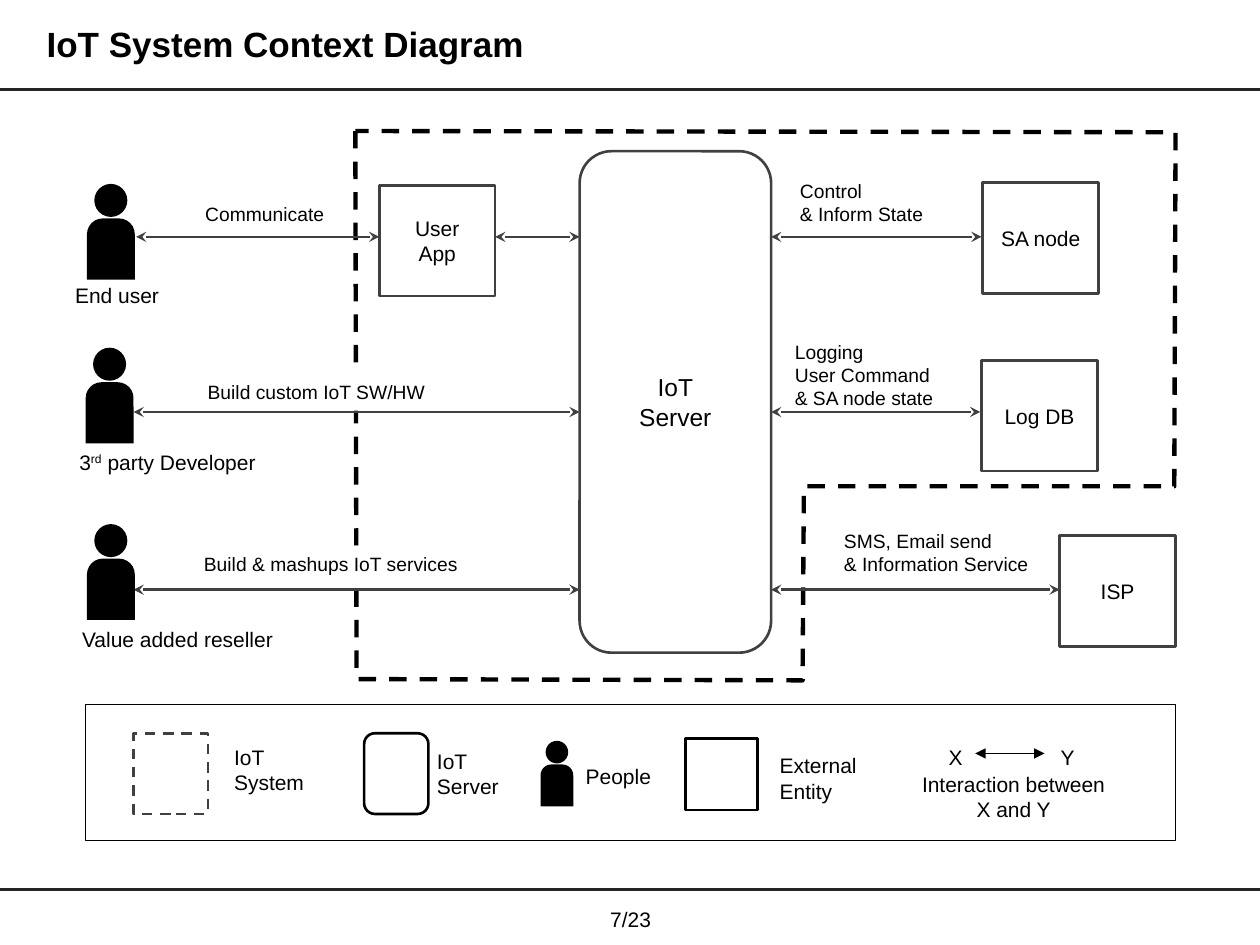
from dataclasses import dataclass

from lxml import etree
from pptx import Presentation, util as u
from pptx.dml.color import RGBColor
from pptx.enum import dml, shapes, text
from pptx.oxml.ns import qn

COLORS = {"black": "000000", "gray": "404040", "rule": "262626", "white": "FFFFFF"}
FONT = "Arial"
CELL = u.Inches(0.1)  # the slide is a grid of 100 columns by 75 rows
COLUMNS, ROWS = 100, 75
LEFT, CENTER = text.PP_ALIGN.LEFT, text.PP_ALIGN.CENTER
TOP, MIDDLE = text.MSO_ANCHOR.TOP, text.MSO_ANCHOR.MIDDLE
SHAPE = shapes.MSO_SHAPE


@dataclass
class Region:
    """A part of the grid; its contents are placed from its top left corner."""
    slide: object
    left: float
    top: float
    width: float
    height: float

    def place(self, x, y):
        return round((self.left + x) * CELL), round((self.top + y) * CELL)

    def frame(self, x, y, width, height):
        return (*self.place(x, y), round(width * CELL), round(height * CELL))


def rgb(name):
    return RGBColor.from_string(COLORS[name])


def style(shape, fill=None, line=None, weight=1.5, dashed=False):
    shape.shadow.inherit = False
    if fill:
        shape.fill.solid()
        shape.fill.fore_color.rgb = rgb(fill)
    else:
        shape.fill.background()
    if not line:
        shape.line.fill.background()
        return
    shape.line.color.rgb = rgb(line)
    shape.line.width = u.Pt(weight)
    if dashed:
        shape.line.dash_style = dml.MSO_LINE.DASH


def write(shape, wording, size=12, align=LEFT, anchor=MIDDLE, wrap=True, bold=False):
    """Each line is a paragraph; wording between carets is superscript."""
    frame = shape.text_frame
    frame.word_wrap = wrap
    frame.vertical_anchor = anchor
    for index, line in enumerate(wording.split("\n")):
        paragraph = frame.add_paragraph() if index else frame.paragraphs[0]
        paragraph.alignment = align
        for part, words in enumerate(line.split("^")):
            run = paragraph.add_run()
            run.text = words
            if part % 2:
                run._r.get_or_add_rPr().set("baseline", "30000")
        font = paragraph.font
        font.name, font.size, font.bold = FONT, u.Pt(size), bold
        font.color.rgb = rgb("black")


def add_label(region, wording, box, fill=None, **options):
    label = region.slide.shapes.add_textbox(*region.frame(*box))
    if fill:
        label.fill.solid()
        label.fill.fore_color.rgb = rgb(fill)
    write(label, wording, **options)


def add_box(region, box, kind=SHAPE.RECTANGLE, wording="", size=12, **look):
    shape = region.slide.shapes.add_shape(kind, *region.frame(*box))
    style(shape, **look)
    if wording:
        write(shape, wording, size, CENTER)


def add_line(region, start, end, y, color="gray", weight=1.5, arrow=None):
    line = region.slide.shapes.add_connector(
        shapes.MSO_CONNECTOR.STRAIGHT, *region.place(start, y), *region.place(end, y))
    line.line.color.rgb = rgb(color)
    line.line.width = u.Pt(weight)
    etree.SubElement(line._element.spPr, qn("a:effectLst"))
    if arrow:
        for tag in ("a:headEnd", "a:tailEnd"):
            etree.SubElement(line.line._get_or_add_ln(), qn(tag), type=arrow)


def add_person(region, x, y, width):
    """Round head over a body with rounded shoulders, as one group."""
    height, head = width * 2, width * 0.69
    body_top = height * 0.36
    group = region.slide.shapes.add_group_shape()
    body = group.shapes.add_shape(
        SHAPE.ROUND_2_SAME_RECTANGLE,
        *region.frame(x, y + body_top, width, height - body_top))
    body.adjustments[0], body.adjustments[1] = 0.33, 0
    face = group.shapes.add_shape(
        SHAPE.OVAL, *region.frame(x + (width - head) / 2, y, head, head))
    for part in (body, face):
        style(part, fill="black")


def add_page_frame(region, title, page):
    # Title, rules above and below the content, page number
    heading = region.slide.shapes.title
    heading.left, heading.top, heading.width, heading.height = region.frame(2.7, 1, 85.2, 5.3)
    heading.text_frame.auto_size = text.MSO_AUTO_SIZE.NONE
    write(heading, title, size=20, bold=True)
    heading.text_frame.paragraphs[0].line_spacing = 0.9
    for y in (7.1, 70.6):
        add_line(region, 0, region.width, y, "rule", 1.75)
    add_label(region, page, (46.2, 71.4, 7.7, 3.1), align=CENTER)


def add_context(region):
    flows = (8.8, 22.7, 36.8)  # the three rows of interactions
    server_left, server_right = 41, 56.2

    # Dashed system boundary
    corners = [(23.2, 0.4), (23.3, 43.9), (58.7, 44), (58.8, 28.6), (88.2, 28.6), (88.3, 0.5)]
    points = [region.place(*corner) for corner in corners]
    builder = region.slide.shapes.build_freeform(*points[0])
    builder.add_line_segments(points[1:], close=True)
    style(builder.convert_to_shape(), line="black", weight=2.5, dashed=True)

    add_box(region, (server_left, 2, 15.2, 39.8), SHAPE.ROUNDED_RECTANGLE,
            "IoT\nServer", 14, line="gray")

    # Interactions: row, start and end
    for row, start, end in [
        (0, 5.8, 25.1), (0, 34.3, server_left), (0, server_right, 72.9),
        (1, 5.6, server_left), (1, server_right, 72.8),
        (2, 5.6, server_left), (2, server_right, 79.1),
    ]:
        add_line(region, start, end, flows[row], arrow="stealth")

    # People with their captions below: position, wording, caption centre and top
    for x, y, caption, center, top in [
        (1.9, 4.6, "End user", 4.3, 11.9),
        (1.8, 17.6, "3^rd^ party Developer", 8.3, 25.1),
        (1.9, 31.6, "Value added reseller", 9.1, 39.2),
    ]:
        add_person(region, x, y, 3.8)
        add_label(region, caption, (center - 10.35, top, 20.7, 3.1), align=CENTER)

    # Applications and external entities
    for wording, x, y in [("User\nApp", 25.1, 4.7), ("SA node", 73, 4.5),
                          ("Log DB", 72.9, 18.6), ("ISP", 79.1, 32.5)]:
        add_box(region, (x, y, 9.2, 8.8), wording=wording, fill="white", line="gray")

    # Interaction labels; the filled ones break the boundary behind them
    for wording, box, fill in [
        ("Communicate", (10.3, 5.6, 11.5, 2.9), None),
        ("Build custom IoT SW/HW", (10.5, 19.7, 19.4, 2.9), "white"),
        ("Build & mashups IoT services", (10.2, 33.3, 22.3, 2.9), "white"),
        ("Control\n& Inform State", (57.5, 3.7, 11.8, 4.7), None),
        ("Logging\nUser Command\n& SA node state", (57.1, 16.5, 13.2, 6.6), None),
        ("SMS, Email send\n& Information Service", (61, 31.5, 16.7, 4.7), "white"),
    ]:
        add_label(region, wording, box, fill, size=11, anchor=TOP, wrap=False)


def add_legend(region):
    add_box(region, (0, 0, region.width, region.height), fill="white", line="black", weight=0.75)

    # Symbols
    add_box(region, (3.8, 2.3, 5.9, 6.4), fill="white", line="gray", dashed=True)
    add_box(region, (22.1, 2.3, 5.1, 6.4), SHAPE.ROUNDED_RECTANGLE, line="black")
    add_person(region, 36.1, 2.9, 2.6)
    add_box(region, (47.6, 2.7, 5.7, 5.7), line="black")
    add_line(region, 70.6, 76.1, 3.9, "black", 0.5, "triangle")

    # Meanings
    for wording, box, align in [
        ("IoT\nSystem", (10.8, 2.7, 9.6, 5), LEFT),
        ("IoT\nServer", (26.9, 3, 9.6, 5), LEFT),
        ("People", (38.7, 4.2, 7.2, 3), LEFT),
        ("External Entity", (54.1, 3.3, 10.4, 5.1), LEFT),
        ("X", (67.5, 2.7, 3.1, 3), LEFT),
        ("Y", (76.4, 2.7, 3.1, 3), LEFT),
        ("Interaction between\nX and Y", (63.4, 4.8, 20.5, 5), CENTER),
    ]:
        add_label(region, wording, box, align=align)


def main():
    presentation = Presentation()
    presentation.slide_width, presentation.slide_height = COLUMNS * CELL, ROWS * CELL
    slide = presentation.slides.add_slide(presentation.slide_layouts.get_by_name("Title Only"))
    add_page_frame(Region(slide, 0, 0, COLUMNS, ROWS), "IoT System Context Diagram", "7/23")
    add_context(Region(slide, 5, 10, 90, 45))
    add_legend(Region(slide, 6.8, 55.9, 86.5, 10.8))
    presentation.save("out.pptx")


if __name__ == "__main__":
    main()
